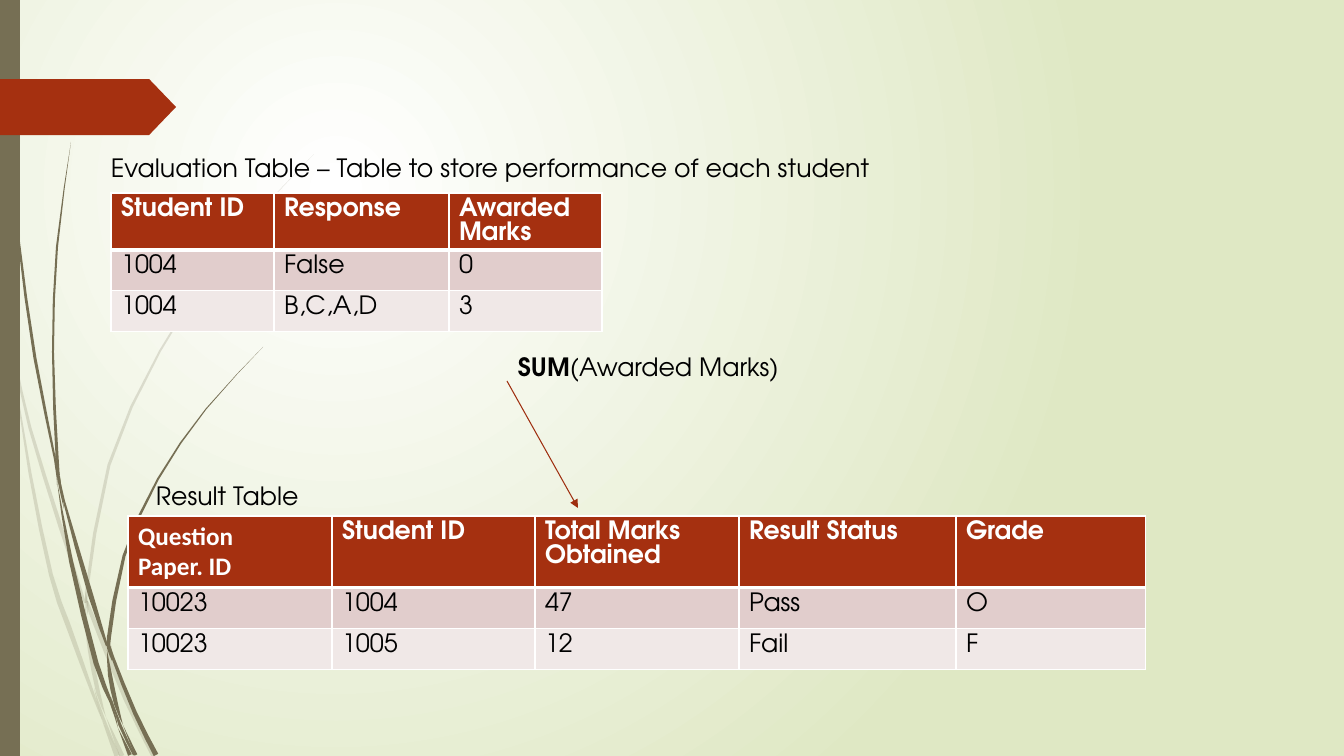
import math
from lxml import etree
from pptx import Presentation
from pptx import util as u
from pptx.dml.color import RGBColor
from pptx.enum import shapes, text
from pptx.oxml.ns import qn

# Content
FONT, HEADER_FONT = "TeX Gyre Adventor", "Calibri"
RED, OLIVE, WHITE, BLACK = "A53010", "766F54", "FFFFFF", "000000"
ROW_FILLS = [RED, "E1CDCC", "F0E8E7"]

TABLES = [
    {"left": 111, "top": 193, "columns": [163, 175, 153], "rows": [
        ["Student ID", "Response", "Awarded Marks"],
        ["1004", "False", "0"],
        ["1004", "B,C,A,D", "3"]]},
    {"left": 128, "top": 516, "columns": [204, 203, 204, 217, 190], "rows": [
        ["Question Paper.\u00a0ID", "Student ID", "Total Marks\nObtained",
         "Result Status", "Grade"],
        ["10023", "1004", "47", "Pass", "O"],
        ["10023", "1005", "12", "Fail", "F"]]},
]
ROW_HEIGHT = 41

# Each label: left, top, width, then (words, bold) runs
LABELS = [
    (101, 147, 840, [("Evaluation Table – Table to store performance of each student", False)]),
    (508, 346, 302, [("SUM", True), ("(Awarded Marks)", False)]),
    (146, 475, 302, [("Result Table", False)]),
]
LABEL_HEIGHT = 40
ARROW = (507, 381, 578, 508)

# Grass blades in pieces: points along the middle as (x, y, thickness)
PALE_BLADES = [
    [(0, 292, 3), (11, 353, 0)],
    [(14, 348, 0), (16, 364, 2), (30, 428, 3), (60, 525, 4), (85, 603, 2)],
    [(88, 601, 0), (91, 613, 4), (126, 699, 5), (154, 756, 5)],
    [(106, 717, 0), (122, 756, 5)],
    [(11, 353, 0), (30, 473, 3), (51, 575, 4), (68, 625, 5), (93, 694, 3), (102, 720, 0)],
    [(85, 604, 0), (87, 628, 3), (90, 651, 4), (98, 692, 4), (106, 717, 0)],
    [(314, 154, 0), (230, 246, 1), (160, 351, 2), (109, 465, 3), (87, 589, 3), (88, 601, 0)],
    [(102, 720, 0), (117, 756, 5)],
    [(85, 591, 0), (87, 604, 3), (88, 615, 0)],
    [(94, 688, 0), (103, 718, 3), (120, 756, 0)],
]
DARK_BLADES = [
    [(4, 0, 1), (8, 110, 1), (18, 234, 2), (35, 358, 3), (55, 459, 2), (57, 485, 0)],
    [(60, 476, 0), (64, 501, 2), (91, 596, 5), (107, 646, 2)],
    [(111, 646, 0), (113, 658, 3), (135, 713, 4), (156, 755, 5)],
    [(57, 481, 0), (71, 561, 4), (96, 663, 5), (111, 702, 3), (118, 728, 0)],
    [(71, 142, 0), (57, 247, 2), (53, 352, 2), (57, 455, 3), (60, 476, 0)],
    [(123, 725, 0), (136, 755, 3)],
    [(55, 453, 0), (59, 480, 3), (64, 509, 0)],
    [(263, 347, 0), (206, 409, 1), (158, 479, 2), (124, 556, 3), (109, 637, 4), (111, 646, 0)],
    [(118, 728, 0), (130, 755, 4)],
    [(107, 650, 0), (110, 675, 4), (116, 704, 4), (123, 725, 0)],
    [(107, 636, 0), (109, 648, 4), (112, 661, 0)],
    [(111, 697, 0), (120, 725, 3), (134, 755, 2)],
]
BLADE_STEPS = 2


def px(length):
    return u.Emu(round(length * 914400 / 100.8))


def color(code):
    return RGBColor.from_string(code)


def add_xml(parent, tag, **attributes):
    return etree.SubElement(parent, qn(tag), attributes)


def paint(shape, code, opacity=100):
    shape.shadow.inherit = False
    shape.fill.solid()
    shape.fill.fore_color.rgb = color(code)
    shape.line.fill.background()
    if opacity < 100:
        fill = shape.element.spPr.find(qn("a:solidFill"))
        add_xml(fill[0], "a:alpha", val=str(opacity * 1000))


def write(paragraph, words, bold=False, code=BLACK, name=FONT):
    run = paragraph.add_run()
    run.text = words
    run.font.color.rgb = color(code)
    for key, value in {"size": u.Pt(18), "name": name, "bold": bold}.items():
        setattr(run.font, key, value)


def smooth_points(points):
    """Catmull-Rom curve through the points, thickness included."""
    padded = [points[0], *points, points[-1]]
    for a, b, c, d in zip(padded, padded[1:], padded[2:], padded[3:]):
        for step in range(BLADE_STEPS):
            t = step / BLADE_STEPS
            yield tuple(
                q + t * (r - p + t * (2 * p - 5 * q + 4 * r - s
                                      + t * (3 * (q - r) + s - p))) / 2
                for p, q, r, s in zip(a, b, c, d))
    yield points[-1]


def add_blade(slide, points, opacity):
    curve = list(smooth_points(points))
    left, right = [], []
    for i, (x, y, thickness) in enumerate(curve):
        before, after = curve[max(i - 1, 0)], curve[min(i + 1, len(curve) - 1)]
        dx, dy = after[0] - before[0], after[1] - before[1]
        half = thickness / 2 / math.hypot(dx, dy)
        left.append((px(max(x - dy * half, 0)), px(y + dx * half)))
        right.append((px(x + dy * half), px(y - dx * half)))
    outline = left + right[::-1]
    builder = slide.shapes.build_freeform(*outline[0])
    builder.add_line_segments(outline[1:], close=True)
    paint(builder.convert_to_shape(), OLIVE, opacity)


def add_border(cell, side, points):
    line = add_xml(cell._tc.get_or_add_tcPr(), side, w=str(u.Pt(points)))
    add_xml(add_xml(line, "a:solidFill"), "a:srgbClr", val=WHITE)


def add_data_table(slide, left, top, columns, rows):
    frame = slide.shapes.add_table(
        len(rows), len(columns), px(left), px(top),
        px(sum(columns)), px(ROW_HEIGHT * len(rows)))
    table = frame.table
    for column, width in zip(table.columns, columns):
        column.width = px(width)
    for r, row in enumerate(rows):
        header = r == 0
        for c, words in enumerate(row):
            cell = table.cell(r, c)
            for side in ("a:lnL", "a:lnR", "a:lnT", "a:lnB"):
                heavy = (header and side == "a:lnB") or (r == 1 and side == "a:lnT")
                add_border(cell, side, 3 if heavy else 1)
            cell.fill.solid()
            cell.fill.fore_color.rgb = color(ROW_FILLS[r])
            name = HEADER_FONT if words.startswith("Question") else FONT
            for i, line in enumerate(words.split("\n")):
                frame_text = cell.text_frame
                paragraph = frame_text.add_paragraph() if i else frame_text.paragraphs[0]
                write(paragraph, line, header, WHITE if header else BLACK, name)


presentation = Presentation()
presentation.slide_width, presentation.slide_height = px(1344), px(756)
slide = presentation.slides.add_slide(presentation.slide_layouts[6])

# Radial background
background = slide.background.fill
background.gradient()
for stop, code, position in zip(background.gradient_stops, (WHITE, "DFE8C4"), (0, 1)):
    stop.color.rgb = color(code)
    stop.position = position
gradient = slide.element.find(".//" + qn("a:gradFill"))
gradient.remove(gradient.find(qn("a:lin")))
add_xml(add_xml(gradient, "a:path", path="circle"), "a:fillToRect",
        l="50000", t="50000", r="100000", b="100000")

# Grass, side bar and red tag
for blades, opacity in ((PALE_BLADES, 20), (DARK_BLADES, 100)):
    for blade in blades:
        add_blade(slide, blade, opacity)
side_bar = slide.shapes.add_shape(
    shapes.MSO_SHAPE.RECTANGLE, 0, 0, px(20), px(756))
paint(side_bar, OLIVE)
tag = slide.shapes.add_shape(
    shapes.MSO_SHAPE.PENTAGON, 0, px(79), px(176), px(56))
tag.adjustments[0] = 0.48
paint(tag, RED)

# Tables
for data in TABLES:
    add_data_table(slide, **data)

# Arrow from the sum to the total
arrow = slide.shapes.add_connector(
    shapes.MSO_CONNECTOR.STRAIGHT, *[px(value) for value in ARROW])
arrow.line.color.rgb = color("9E2E0F")
arrow.line.width = u.Pt(0.75)
add_xml(arrow.line._get_or_add_ln(), "a:tailEnd", type="triangle")
add_xml(arrow.element.spPr, "a:effectLst")

# Labels
for left, top, width, runs in LABELS:
    box = slide.shapes.add_textbox(px(left), px(top), px(width), px(LABEL_HEIGHT))
    box.text_frame.word_wrap = True
    box.text_frame.auto_size = text.MSO_AUTO_SIZE.SHAPE_TO_FIT_TEXT
    for words, bold in runs:
        write(box.text_frame.paragraphs[0], words, bold)

presentation.save("out.pptx")
